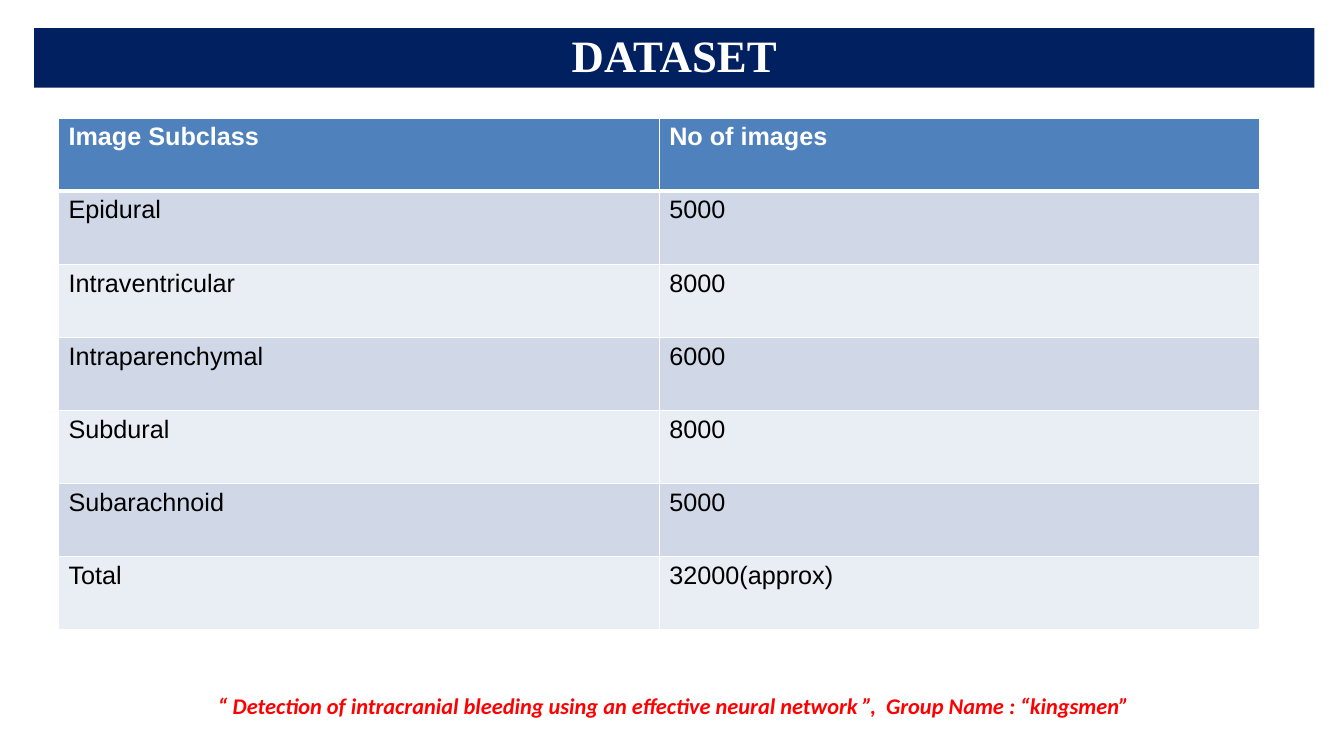
"""Build the dataset slide: title bar, table of image counts and footer line."""
from lxml import etree
from pptx import Presentation
from pptx.dml.color import RGBColor
from pptx.enum.shapes import MSO_SHAPE
from pptx.enum.text import MSO_ANCHOR, PP_ALIGN
from pptx.oxml.ns import qn
from pptx.util import Inches, Pt

RECTANGLE = MSO_SHAPE.RECTANGLE
CENTER, LEFT = PP_ALIGN.CENTER, PP_ALIGN.LEFT
MIDDLE, TOP = MSO_ANCHOR.MIDDLE, MSO_ANCHOR.TOP

WHITE = RGBColor(0xFF, 0xFF, 0xFF)
BLACK = RGBColor(0x00, 0x00, 0x00)
RED = RGBColor(0xFF, 0x00, 0x00)
NAVY = RGBColor(0x00, 0x20, 0x60)
HEADER_BLUE = RGBColor(0x4F, 0x81, 0xBD)
BANDS = (RGBColor(0xE9, 0xED, 0xF4), RGBColor(0xD0, 0xD8, 0xE8))

PAGE_WIDTH, PAGE_HEIGHT = Inches(13.33), Inches(7.5)

ROWS = [
    ("Image Subclass", "No of images"),
    ("Epidural", "5000"),
    ("Intraventricular", "8000"),
    ("Intraparenchymal", "6000"),
    ("Subdural", "8000"),
    ("Subarachnoid", "5000"),
    ("Total", "32000(approx)"),
]


def area(left, top, width, height):
    """Turn percentages of the page into a position and size."""
    return (
        int(PAGE_WIDTH * left / 100),
        int(PAGE_HEIGHT * top / 100),
        int(PAGE_WIDTH * width / 100),
        int(PAGE_HEIGHT * height / 100),
    )


def write(frame, text, *, font, size, color, bold=False, italic=False,
          align=LEFT, spacing=None):
    """Put one formatted paragraph into a text frame."""
    frame.word_wrap = True
    para = frame.paragraphs[0]
    para.alignment = align
    para.line_spacing = spacing
    span = para.add_run()
    span.text = text
    span.font.name = font
    span.font.size = Pt(size)
    span.font.color.rgb = color
    span.font.bold = bold
    span.font.italic = italic


def add_title_bar(page, text):
    """Draw the filled bar that carries the title."""
    bar = page.shapes.add_shape(RECTANGLE, *area(2.55, 3.73, 95.25, 7.87))
    bar.shadow.inherit = False
    bar.fill.solid()
    bar.fill.fore_color.rgb = NAVY
    bar.line.fill.background()
    bar.text_frame.vertical_anchor = MIDDLE
    write(bar.text_frame, text, font="Times New Roman", size=32, color=WHITE,
          bold=True, align=CENTER, spacing=0.9)


def add_border(cell, side, points):
    """Give one side of a cell a white line."""
    properties = cell._tc.get_or_add_tcPr()
    line = etree.SubElement(properties, qn(f"a:ln{side}"), w=str(Pt(points)))
    fill = etree.SubElement(line, qn("a:solidFill"))
    etree.SubElement(fill, qn("a:srgbClr"), val=str(WHITE))


def add_count_table(page, rows):
    """Draw the banded table with its header row."""
    table = page.shapes.add_table(
        len(rows), len(rows[0]), *area(4.35, 15.6, 89.4, 67.73)).table
    for row_index, row in enumerate(rows):
        header = row_index == 0
        widths = {"L": 1, "R": 1, "T": 3 if row_index == 1 else 1,
                  "B": 3 if header else 1}
        for column_index, text in enumerate(row):
            cell = table.cell(row_index, column_index)
            for side, points in widths.items():
                add_border(cell, side, points)
            cell.fill.solid()
            cell.fill.fore_color.rgb = HEADER_BLUE if header else BANDS[row_index % 2]
            write(cell.text_frame, text, font="Arial", size=18,
                  color=WHITE if header else BLACK, bold=header)


def add_footer(page, text):
    """Add the centred line at the foot of the page."""
    box = page.shapes.add_textbox(*area(7.8, 91.6, 84.7, 5.33))
    box.text_frame.margin_top = 0
    box.text_frame.vertical_anchor = TOP
    write(box.text_frame, text, font="Calibri", size=16, color=RED,
          bold=True, italic=True, align=CENTER)


def main():
    """Build and save the deck."""
    deck = Presentation()
    deck.slide_width, deck.slide_height = PAGE_WIDTH, PAGE_HEIGHT
    page = deck.slides.add_slide(deck.slide_layouts[6])
    add_footer(page, "“ Detection of intracranial bleeding using an effective "
                     "neural network ”,  Group Name : “kingsmen”")
    add_count_table(page, ROWS)
    add_title_bar(page, "DATASET")
    deck.save("out.pptx")


if __name__ == "__main__":
    main()
